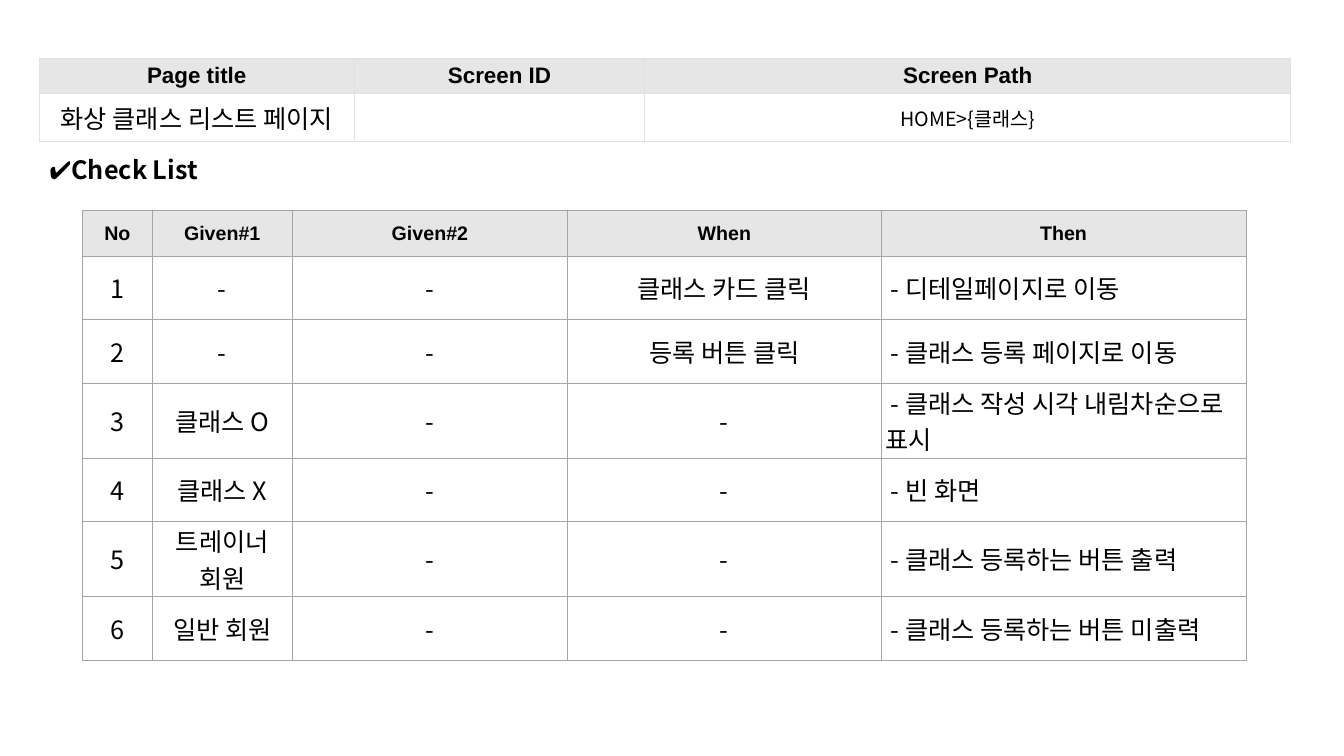
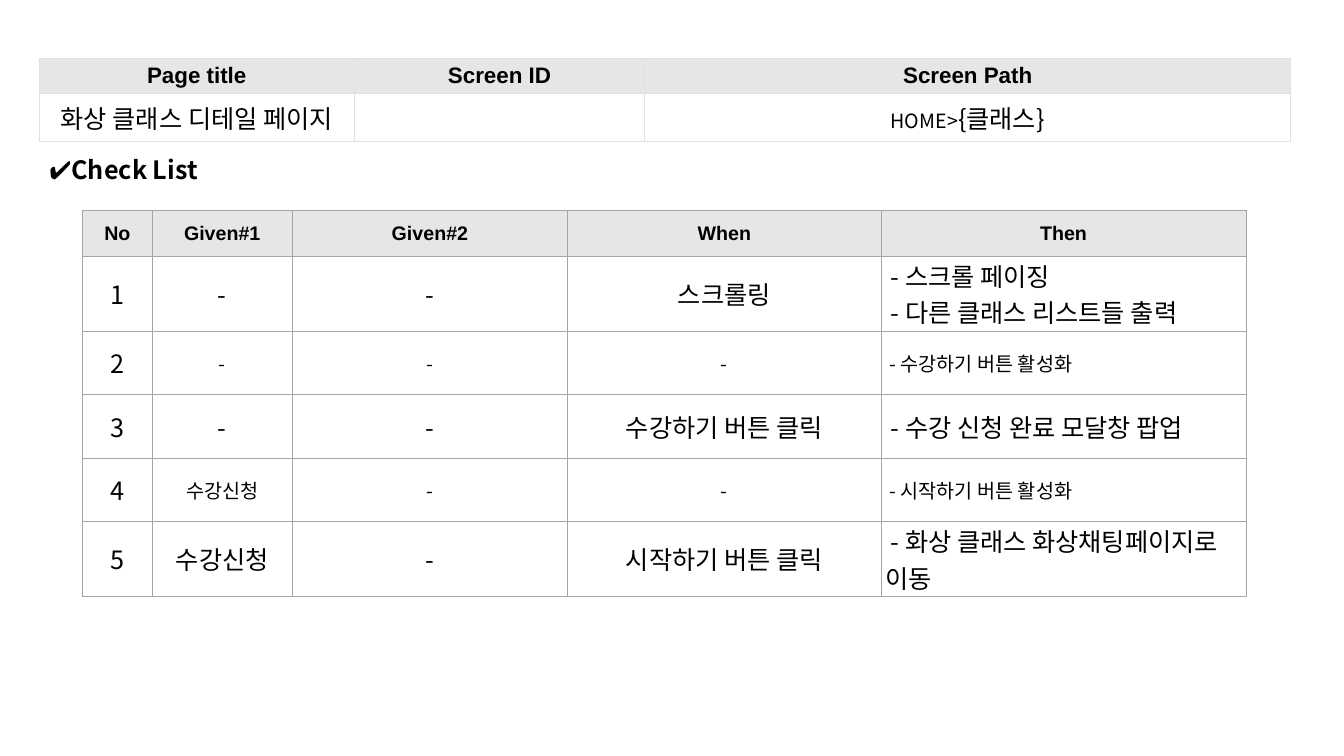
"""Build two checklist slides for the screens of a video class service."""
from dataclasses import dataclass
from typing import NamedTuple

from lxml import etree
from pptx import Presentation
from pptx.dml.color import RGBColor
from pptx.enum.text import MSO_ANCHOR, MSO_AUTO_SIZE, PP_ALIGN
from pptx.oxml.ns import qn
from pptx.presentation import Presentation as Deck
from pptx.slide import Slide
from pptx.table import _Cell
from pptx.text.text import _Run
from pptx.util import Emu, Inches, Pt

LEFT, CENTER = PP_ALIGN.LEFT, PP_ALIGN.CENTER
TOP, MIDDLE = MSO_ANCHOR.TOP, MSO_ANCHOR.MIDDLE
NO_FIT = MSO_AUTO_SIZE.NONE

BLACK = RGBColor(0x00, 0x00, 0x00)
WHITE = RGBColor(0xFF, 0xFF, 0xFF)
HEAD_GRAY = RGBColor(0xE7, 0xE6, 0xE6)
GRID_GRAY = RGBColor(0xA5, 0xA5, 0xA5)
PALE_GRAY = RGBColor(0xDF, 0xE2, 0xE5)

HEAD_FONT, BODY_FONT = "Arial", "Noto Sans CJK KR"
BODY_SIZE, SMALL_SIZE = 18, 14
TITLE_ONLY = 5
SLIDE_W, SLIDE_H = Inches(13.33), Inches(7.5)


class Span(NamedTuple):
    """A piece of text in one size."""
    text: str
    size: int = BODY_SIZE


class Box(NamedTuple):
    """A frame in percent of the slide's width and height."""
    left: float
    top: float
    width: float
    height: float

    def emu(self) -> tuple[Emu, Emu, Emu, Emu]:
        """Return the frame in EMU."""
        return pct_x(self.left), pct_y(self.top), pct_x(self.width), pct_y(self.height)


Lines = list[list[Span]]


@dataclass(frozen=True)
class TableStyle:
    """Grid and look of a table; lengths in percent of the slide."""
    left: float
    top: float
    width: float
    weights: tuple[int, ...]
    heads: tuple[str, ...]
    head_height: float
    row_height: float
    head_size: int
    border: RGBColor
    margin_x: float
    head_margin_y: float
    row_margin_y: float
    aligns: tuple[PP_ALIGN, ...]


@dataclass(frozen=True)
class Check:
    """One numbered row of the checklist."""
    given: str
    when: str
    then: str
    size: int = BODY_SIZE


@dataclass(frozen=True)
class Page:
    """Contents of one slide."""
    title: str
    route: list[Span]
    checks: tuple[Check, ...]


TITLE_BOX = Box(2.93, 19.73, 13.88, 5.33)
SCREEN_TABLE = TableStyle(
    left=2.93, top=7.73, width=93.1, weights=(312, 288, 640),
    heads=("Page title", "Screen ID", "Screen Path"),
    head_height=4.67, row_height=6.27, head_size=16, border=PALE_GRAY,
    margin_x=0.11, head_margin_y=0.05, row_margin_y=0.05, aligns=(CENTER,) * 3)
CHECK_TABLE = TableStyle(
    left=6.15, top=27.87, width=86.57, weights=(69, 139, 273, 311, 362),
    heads=("No", "Given#1", "Given#2", "When", "Then"),
    head_height=6, row_height=8.4, head_size=14, border=GRID_GRAY,
    margin_x=0.04, head_margin_y=0.02, row_margin_y=0.01,
    aligns=(CENTER,) * 4 + (LEFT,))

PAGES = (
    Page("화상 클래스 리스트 페이지", [Span("HOME>{클래스}", SMALL_SIZE)], (
        Check("-", "클래스 카드 클릭", " - 디테일페이지로 이동"),
        Check("-", "등록 버튼 클릭", " - 클래스 등록 페이지로 이동"),
        Check("클래스 O", "-", " - 클래스 작성 시각 내림차순으로 표시"),
        Check("클래스 X", "-", " - 빈 화면"),
        Check("트레이너 회원", "-", " - 클래스 등록하는 버튼 출력"),
        Check("일반 회원", "-", " - 클래스 등록하는 버튼 미출력"),
    )),
    Page("화상 클래스 디테일 페이지", [Span("HOME>", SMALL_SIZE), Span("{클래스}")], (
        Check("-", "스크롤링", " - 스크롤 페이징\n - 다른 클래스 리스트들 출력"),
        Check("-", "-", " - 수강하기 버튼 활성화", SMALL_SIZE),
        Check("-", "수강하기 버튼 클릭", " - 수강 신청 완료 모달창 팝업"),
        Check("수강신청", "-", " - 시작하기 버튼 활성화", SMALL_SIZE),
        Check("수강신청", "시작하기 버튼 클릭", " - 화상 클래스 화상채팅페이지로 이동"),
    )),
)


def pct_x(share: float) -> Emu:
    """Convert a percentage of the slide's width."""
    return Emu(round(SLIDE_W * share / 100))


def pct_y(share: float) -> Emu:
    """Convert a percentage of the slide's height."""
    return Emu(round(SLIDE_H * share / 100))


def to_lines(text: str, size: int = BODY_SIZE) -> Lines:
    """Split text into paragraphs of one span each."""
    return [[Span(line, size)] for line in text.split("\n")] if text else []


def style_run(r: _Run, size: int, font: str, bold: bool) -> None:
    """Format a run for Latin and Korean text."""
    r.font.size, r.font.name, r.font.bold = Pt(size), font, bold
    r.font.color.rgb = BLACK
    etree.SubElement(r.font._element, qn("a:ea")).set("typeface", font)


def set_borders(cell: _Cell, color: RGBColor) -> None:
    """Draw the four thin borders of a cell."""
    tc_pr = cell._tc.get_or_add_tcPr()
    for side in ("lnL", "lnR", "lnT", "lnB"):
        ln = etree.SubElement(tc_pr, qn(f"a:{side}"), w=str(Pt(0.75)))
        fill = etree.SubElement(ln, qn("a:solidFill"))
        etree.SubElement(fill, qn("a:srgbClr"), val=str(color))


def fill_cell(cell: _Cell, lines: Lines, style: TableStyle, align: PP_ALIGN,
              is_head: bool) -> None:
    """Write and format one table cell."""
    set_borders(cell, style.border)
    cell.fill.solid()
    cell.fill.fore_color.rgb = HEAD_GRAY if is_head else WHITE
    cell.vertical_anchor = MIDDLE
    cell.margin_left = cell.margin_right = Inches(style.margin_x)
    margin_y = style.head_margin_y if is_head else style.row_margin_y
    cell.margin_top = cell.margin_bottom = Inches(margin_y)
    tf = cell.text_frame
    for i, spans in enumerate(lines):
        p = tf.add_paragraph() if i else tf.paragraphs[0]
        p.alignment = align
        for span in spans:
            r = p.add_run()
            r.text = span.text
            style_run(r, span.size, HEAD_FONT if is_head else BODY_FONT, is_head)


def add_grid(s: Slide, style: TableStyle, body: list[list[Lines]]) -> None:
    """Add a table with a gray head row above the body rows."""
    head = [to_lines(text, style.head_size) for text in style.heads]
    rows = [head, *body]
    height = style.head_height + style.row_height * len(body)
    box = Box(style.left, style.top, style.width, height)
    table = s.shapes.add_table(len(rows), len(head), *box.emu()).table
    table.first_row = table.horz_banding = False
    for column, weight in zip(table.columns, style.weights):
        column.width = pct_x(style.width * weight / sum(style.weights))
    for i, row in enumerate(rows):
        table.rows[i].height = pct_y(style.row_height if i else style.head_height)
        for j, lines in enumerate(row):
            align = style.aligns[j] if i else CENTER
            fill_cell(table.cell(i, j), lines, style, align, i == 0)


def add_title(s: Slide) -> None:
    """Place the checklist heading in the title placeholder."""
    sp = s.shapes.title
    sp.left, sp.top, sp.width, sp.height = TITLE_BOX.emu()
    tf = sp.text_frame
    tf.text = "✔Check List"
    tf.auto_size, tf.word_wrap, tf.vertical_anchor = NO_FIT, True, TOP
    p = tf.paragraphs[0]
    p.alignment = LEFT
    style_run(p.runs[0], BODY_SIZE, BODY_FONT, True)


def add_page(prs: Deck, page: Page) -> None:
    """Add one slide with its screen table, heading and checklist."""
    s = prs.slides.add_slide(prs.slide_layouts[TITLE_ONLY])
    add_title(s)
    add_grid(s, CHECK_TABLE, [
        [to_lines(str(number)), to_lines(check.given, check.size),
         to_lines("-", check.size), to_lines(check.when, check.size),
         to_lines(check.then, check.size)]
        for number, check in enumerate(page.checks, 1)])
    add_grid(s, SCREEN_TABLE, [[to_lines(page.title), [], [page.route]]])


def main() -> None:
    """Build and save the presentation."""
    prs = Presentation()
    prs.slide_width, prs.slide_height = SLIDE_W, SLIDE_H
    for page in PAGES:
        add_page(prs, page)
    prs.save("out.pptx")


main()
